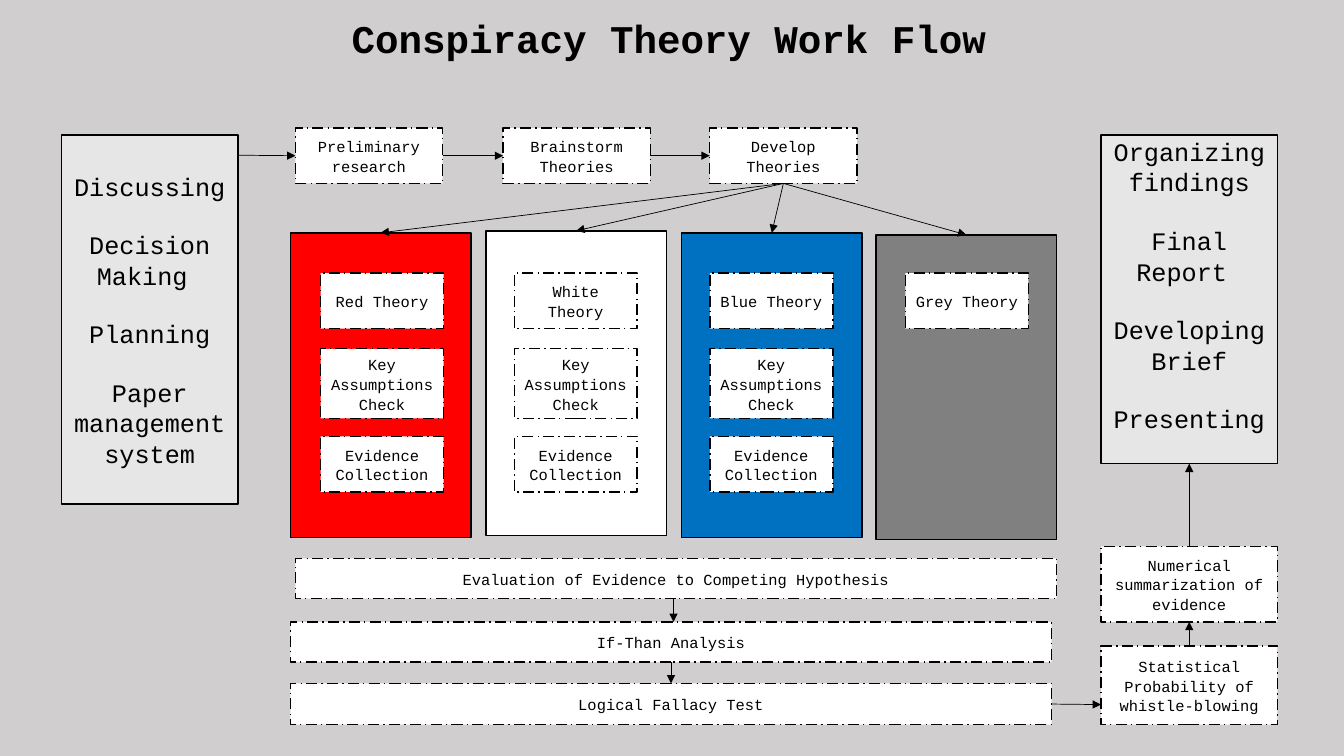
from pptx import Presentation
from pptx.dml.color import RGBColor
from pptx.enum.dml import MSO_LINE
from pptx.enum.shapes import MSO_CONNECTOR, MSO_SHAPE
from pptx.enum.text import MSO_ANCHOR, MSO_AUTO_SIZE, PP_ALIGN
from pptx.oxml.ns import qn
from pptx.util import Inches, Pt
from lxml.etree import SubElement

BLACK = RGBColor(0x00, 0x00, 0x00)
WHITE = RGBColor(0xFF, 0xFF, 0xFF)
RED = RGBColor(0xFF, 0x00, 0x00)
BLUE = RGBColor(0x00, 0x70, 0xC0)
GREY = RGBColor(0x80, 0x80, 0x80)
BACKGROUND = RGBColor(0xD0, 0xCE, 0xCE)
FONT = "Courier New"

prs = Presentation()
prs.slide_width, prs.slide_height = Inches(13.33), Inches(7.5)
s = prs.slides.add_slide(prs.slide_layouts[6])
s.background.fill.solid()
s.background.fill.fore_color.rgb = BACKGROUND


def add_box(x, y, w, h, text="", fill=WHITE, dashed=True):
    sp = s.shapes.add_shape(MSO_SHAPE.RECTANGLE, Inches(x), Inches(y), Inches(w), Inches(h))
    sp.shadow.inherit = False
    sp.fill.solid()
    sp.fill.fore_color.rgb = fill
    sp.line.color.rgb = BLACK
    sp.line.width = Pt(1)
    if dashed:
        sp.line.dash_style = MSO_LINE.LONG_DASH_DOT
    tf = sp.text_frame
    tf.word_wrap = True
    tf.vertical_anchor = MSO_ANCHOR.MIDDLE
    if text:
        p = tf.paragraphs[0]
        p.text = text
        p.alignment = PP_ALIGN.CENTER
        p.line_spacing = 1.07
        p.space_after = Pt(8)
        p.font.name, p.font.size, p.font.color.rgb = FONT, Pt(11), BLACK
    return sp


def add_arrow(start, end):
    """Each end is either an (x, y) point or a (shape, side) joint."""
    c = s.shapes.add_connector(MSO_CONNECTOR.STRAIGHT, 0, 0, 0, 0)
    if isinstance(start[0], (int, float)):
        c.begin_x, c.begin_y = Inches(start[0]), Inches(start[1])
    else:
        c.begin_connect(*start)
    if isinstance(end[0], (int, float)):
        c.end_x, c.end_y = Inches(end[0]), Inches(end[1])
    else:
        c.end_connect(*end)
    c.line.color.rgb = BLACK
    c.line.width = Pt(0.5)
    SubElement(c.line._get_or_add_ln(), qn("a:tailEnd"), type="triangle")
    SubElement(c._element.spPr, qn("a:effectLst"))


# Title
tb = s.shapes.add_textbox(Inches(3.39), Inches(0.09), Inches(6.54), Inches(0.57))
tf = tb.text_frame
tf.word_wrap = False
tf.auto_size = MSO_AUTO_SIZE.SHAPE_TO_FIT_TEXT
tf.vertical_anchor = MSO_ANCHOR.MIDDLE
tf.text = "Conspiracy Theory Work Flow"
r = tf.paragraphs[0].runs[0]
r.font.name, r.font.size, r.font.bold, r.font.color.rgb = FONT, Pt(28), True, BLACK

# Opening steps
steps = [add_box(x, 1.27, 1.46, 0.55, text) for x, text in [
    (2.93, "Preliminary research"), (4.99, "Brainstorm Theories"), (7.04, "Develop Theories")]]
for left, right in zip(steps, steps[1:]):
    add_arrow((left, 3), (right, 1))

# Theory columns with their cards
checks = ["Key Assumptions Check", "Evidence Collection"]
columns = [
    (2.88, 2.31, RED, 3.18, ["Red Theory"] + checks),
    (4.82, 2.29, WHITE, 5.1, ["White Theory"] + checks),
    (6.76, 2.31, BLUE, 7.04, ["Blue Theory"] + checks),
    (8.69, 2.33, GREY, 8.98, ["Grey Theory"]),
]
card_rows = [(2.71, 0.55), (3.46, 0.69), (4.33, 0.55)]
for x, y, color, card_x, cards in columns:
    column = add_box(x, y, 1.79, 3.02, fill=color, dashed=False)
    add_arrow((steps[-1], 2), (column, 0))
    for text, (card_y, h) in zip(cards, card_rows):
        add_box(card_x, card_y, 1.22, h, text)

# Analysis bars
evaluation = add_box(2.93, 5.54, 7.55, 0.4, "Evaluation of Evidence to Competing Hypothesis")
if_than = add_box(2.88, 6.17, 7.55, 0.4, "If-Than Analysis")
fallacy = add_box(2.88, 6.78, 7.55, 0.41, "Logical Fallacy Test")
add_arrow((6.68, 5.94), (6.68, 6.17))
add_arrow((if_than, 2), (fallacy, 0))

# Half-transparent side panels
panels = []
for x, h, bottom, topics in [
    (0.61, 3.66, 0.05, ["Discussing ", "Decision Making ", "Planning", "Paper management system"]),
    (10.92, 3.26, 0.33, ["Organizing findings", "Final Report ", "Developing Brief", "Presenting"]),
]:
    panel = add_box(x, 1.34, 1.75, h, dashed=False)
    color = panel._element.spPr.find(qn("a:solidFill"))[0]
    SubElement(color, qn("a:alpha"), val="50000")
    tf = panel.text_frame
    tf.margin_bottom = Inches(bottom)
    tf.text = "\n".join(topics)
    for i, p in enumerate(tf.paragraphs):
        p.alignment = PP_ALIGN.CENTER
        p.space_before = Pt(20.4 if i else 0)
        p.font.name, p.font.size, p.font.color.rgb = FONT, Pt(18), BLACK
    panels.append(panel)
add_arrow((2.36, 1.54), (steps[0], 1))

# Reporting steps
probability = add_box(10.92, 6.41, 1.75, 0.78, "Statistical Probability of whistle-blowing")
summary = add_box(10.92, 5.42, 1.75, 0.75, "Numerical summarization of evidence")
add_arrow((fallacy, 3), (10.92, 6.99))
add_arrow((probability, 0), (summary, 2))
add_arrow((summary, 0), (panels[1], 2))

prs.save("out.pptx")
